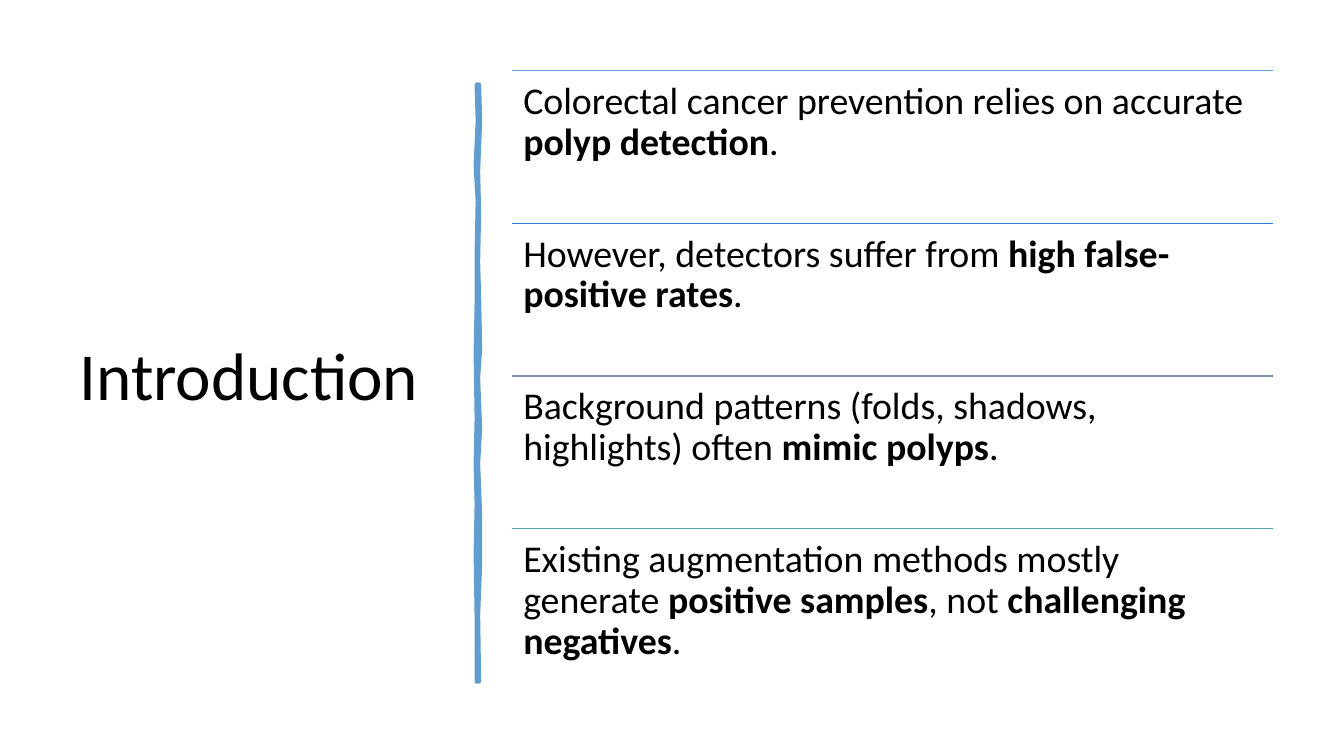
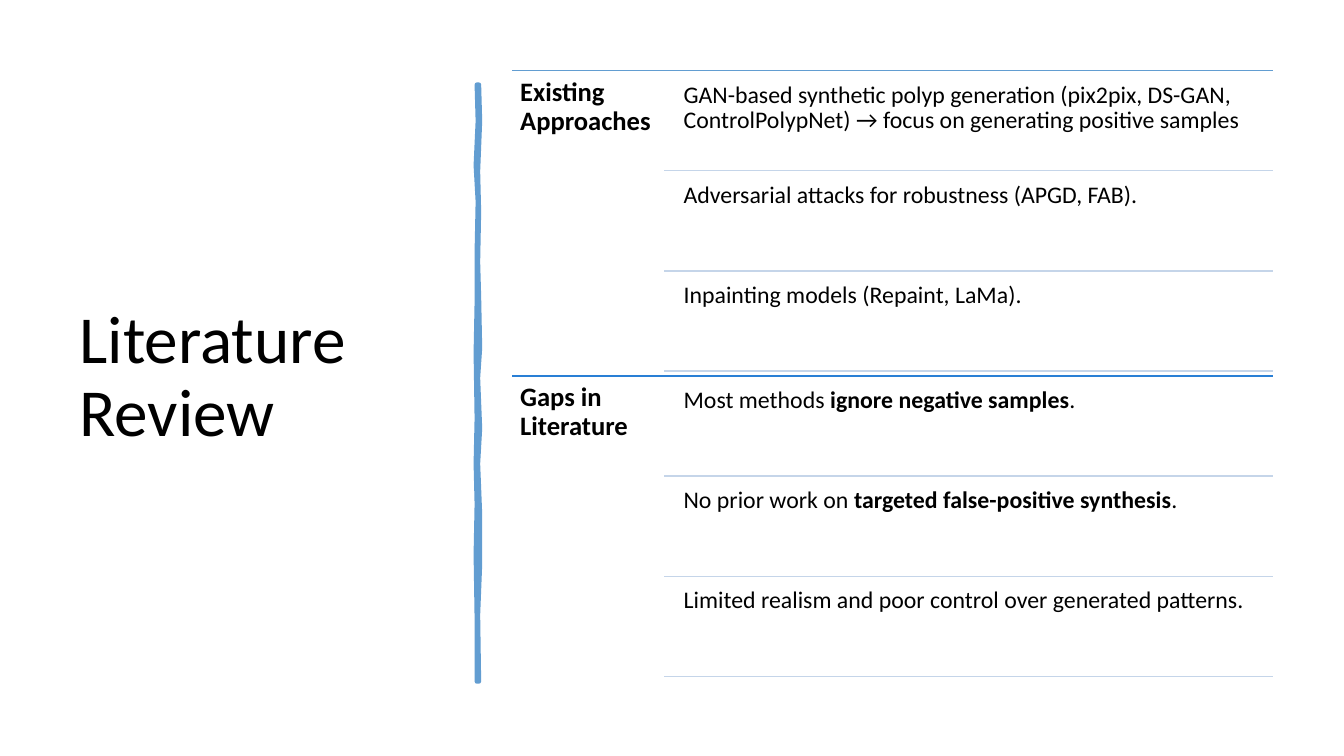
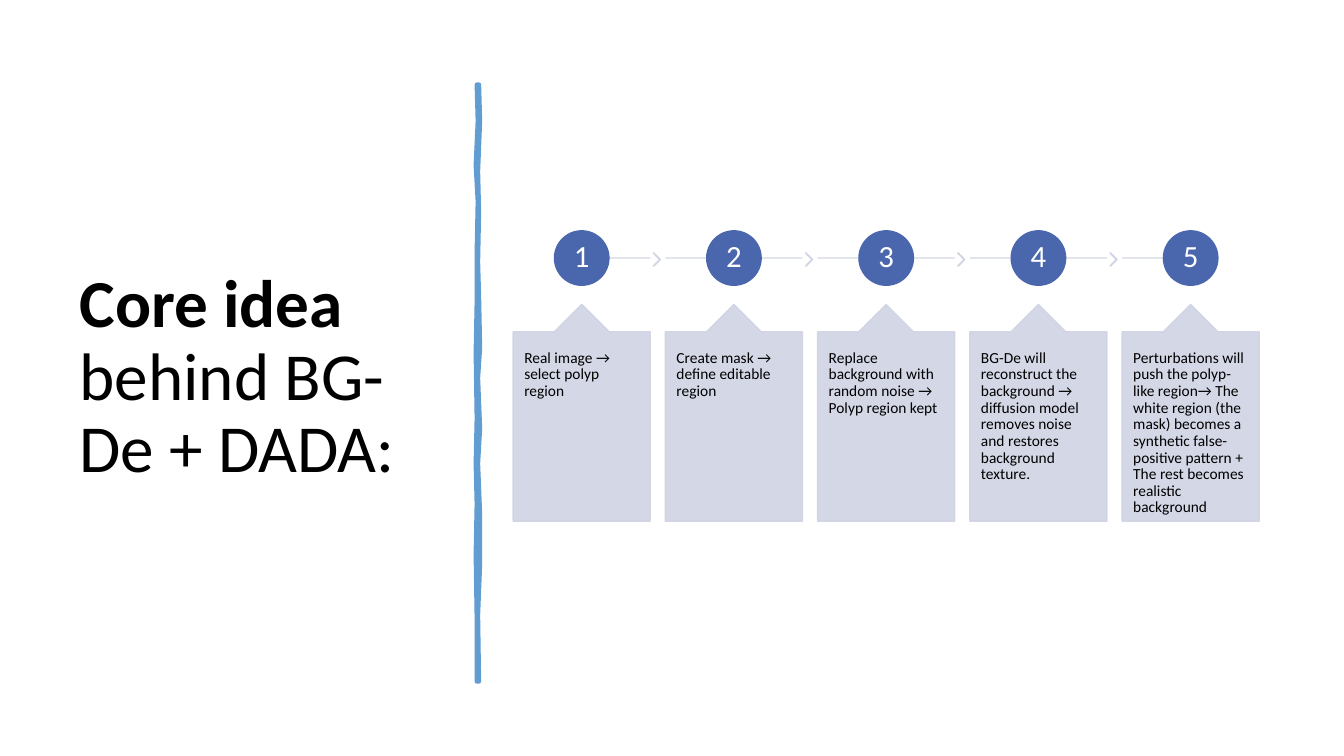
import pptx
import pptx.util
import pptx.dml.color
import pptx.enum.shapes
import pptx.enum.text
import pptx.oxml.ns
from lxml import etree
from dataclasses import dataclass

Inches, Pt = pptx.util.Inches, pptx.util.Pt
SHAPE = pptx.enum.shapes.MSO_SHAPE
ANCHOR = pptx.enum.text.MSO_ANCHOR
ALIGN = pptx.enum.text.PP_ALIGN
qn = pptx.oxml.ns.qn


@dataclass(frozen=True)
class Theme:
    font: str = "Calibri"
    ink: str = "000000"
    paper: str = "FFFFFF"
    stroke: str = "629DD1"
    accents: tuple = ("629DD1", "297FD5", "7F8FA9", "5AA2AE")
    hairline: str = "C5D5E9"
    badge: str = "4A66AC"
    card: str = "D0D3E3"
    card_opacity: int = 90
    title_size: int = 48
    point_size: int = 27
    section_size: int = 19
    item_size: int = 17
    number_size: int = 22
    step_size: int = 11


T = Theme()
SLIDE_W, SLIDE_H = 13.33, 7.5
TITLE_BOX = (0.69, 0.7, 3.74, 6.11)
LEFT, TOP, WIDTH, HEIGHT = 5.08, 0.7, 7.55, 6.06
COLUMN = WIDTH / 5

# Edges of the brush stroke beside the title, as (x, y) from top to bottom.
STROKE_RIGHT = [(4.75, 0.84), (4.76, 1.2), (4.74, 1.7), (4.75, 2.1), (4.74, 2.6),
                (4.75, 2.94), (4.76, 3.45), (4.74, 3.75), (4.76, 4.25), (4.74, 4.6),
                (4.76, 5.1), (4.76, 5.6), (4.74, 6.1), (4.75, 6.76)]
STROKE_LEFT = [(4.73, 0.84), (4.74, 1.2), (4.72, 1.64), (4.74, 2.0), (4.73, 2.5),
               (4.73, 3.0), (4.72, 3.5), (4.73, 4.15), (4.72, 4.6), (4.73, 5.0),
               (4.72, 5.5), (4.73, 6.13), (4.73, 6.76)]

# Double asterisks enclose bold text.
INTRO_TITLE = "Introduction"
INTRO_POINTS = [
    "Colorectal cancer prevention relies on accurate **polyp detection**.",
    "However, detectors suffer from **high false-positive rates**.",
    "Background patterns (folds, shadows, highlights) often **mimic polyps**.",
    "Existing augmentation methods mostly generate **positive samples**, not "
    "**challenging negatives**.",
]
REVIEW_TITLE = "Literature Review"
REVIEW_SECTIONS = [
    ("**Existing Approaches**", [
        "GAN-based synthetic polyp generation (pix2pix, DS-GAN, ControlPolypNet) "
        "→ focus on generating positive samples",
        "Adversarial attacks for robustness (APGD, FAB).",
        "Inpainting models (Repaint, LaMa).",
    ]),
    ("**Gaps in Literature**", [
        "Most methods **ignore negative samples**.",
        "No prior work on **targeted false-positive synthesis**.",
        "Limited realism and poor control over generated patterns.",
    ]),
]
CORE_TITLE = "**Core idea** behind BG-De + DADA:"
CORE_STEPS = [
    "Real image → select polyp region",
    "Create mask → define editable region",
    "Replace background with random noise → Polyp region kept",
    "BG-De will reconstruct the background → diffusion model removes noise "
    "and restores background texture.",
    "Perturbations will push the polyp-like region→ The white region (the mask) "
    "becomes a synthetic false-positive pattern + The rest becomes realistic background",
]


def rgb(color):
    return pptx.dml.color.RGBColor.from_string(color)


def write(sp, text, size, inset, color=T.ink, anchor=ANCHOR.TOP, align=ALIGN.LEFT):
    """Fill a shape with one paragraph; inset is (horizontal, vertical)."""
    tf = sp.text_frame
    tf.word_wrap = True
    tf.vertical_anchor = anchor
    tf.margin_left = tf.margin_right = Inches(inset[0])
    tf.margin_top = tf.margin_bottom = Inches(inset[1])
    p = tf.paragraphs[0]
    p.alignment = align
    p.line_spacing = 0.9
    for i, part in enumerate(text.split("**")):
        if part:
            r = p.add_run()
            r.text = part
            r.font.name = T.font
            r.font.size = Pt(size)
            r.font.bold = i % 2 == 1
            r.font.color.rgb = rgb(color)


def add_text(slide, box, text, size, inset, **style):
    write(slide.shapes.add_textbox(*map(Inches, box)), text, size, inset, **style)


def paint(sp, color, line_width=1):
    sp.shadow.inherit = False
    sp.fill.solid()
    sp.fill.fore_color.rgb = rgb(color)
    sp.line.color.rgb = rgb(color)
    sp.line.width = Pt(line_width)


def soften(sp):
    """Make the fill and line of a shape slightly transparent."""
    for clr in sp._element.spPr.iter(qn("a:srgbClr")):
        etree.SubElement(clr, qn("a:alpha")).set("val", str(T.card_opacity * 1000))


def add_shape(slide, kind, box, color, adjustments=()):
    sp = slide.shapes.add_shape(kind, *map(Inches, box))
    paint(sp, color)
    for i, value in enumerate(adjustments):
        sp.adjustments[i] = value
    return sp


def add_rule(slide, x1, x2, y, color):
    line = slide.shapes.add_connector(
        pptx.enum.shapes.MSO_CONNECTOR.STRAIGHT,
        Inches(x1), Inches(y), Inches(x2), Inches(y))
    line.line.color.rgb = rgb(color)
    line.line.width = Pt(1)
    etree.SubElement(line._element.spPr, qn("a:effectLst"))
    return line


def add_titled_slide(prs, title):
    slide = prs.slides.add_slide(prs.slide_layouts[6])
    add_text(slide, TITLE_BOX, title, T.title_size, (0.1, 0.05), anchor=ANCHOR.MIDDLE)
    outline = [(Inches(x), Inches(y)) for x, y in STROKE_RIGHT + STROKE_LEFT[::-1]]
    builder = slide.shapes.build_freeform(*outline[0])
    builder.add_line_segments(outline[1:], close=True)
    paint(builder.convert_to_shape(), T.stroke, 3.25)
    return slide


def add_intro(prs):
    slide = add_titled_slide(prs, INTRO_TITLE)
    row = HEIGHT / len(INTRO_POINTS)
    for i, (point, color) in enumerate(zip(INTRO_POINTS, T.accents)):
        y = TOP + i * row
        add_rule(slide, LEFT, LEFT + WIDTH, y, color)
        add_text(slide, (LEFT, y, WIDTH, row), point, T.point_size, (0.11, 0.11))


def add_review(prs):
    slide = add_titled_slide(prs, REVIEW_TITLE)
    right = LEFT + WIDTH
    section_h = HEIGHT / len(REVIEW_SECTIONS)
    gap, indent = 0.05, 0.12
    item_x = LEFT + COLUMN
    for i, (heading, items) in enumerate(REVIEW_SECTIONS):
        y = TOP + i * section_h
        add_rule(slide, LEFT, right, y, T.accents[i])
        add_text(slide, (LEFT, y, COLUMN, section_h), heading, T.section_size, (0.08, 0.08))
        pitch = (section_h - gap) / len(items)
        for j, item in enumerate(items):
            item_y = y + gap + j * pitch
            box = (item_x + indent, item_y, right - item_x - indent, pitch - gap)
            add_text(slide, box, item, T.item_size, (0.07, 0.07))
            add_rule(slide, item_x, right, item_y + pitch - gap, T.hairline)


def add_core_idea(prs):
    slide = add_titled_slide(prs, CORE_TITLE)
    card_w, card_h, card_y = 0.9 * COLUMN, 2.15, 3.02
    badge, axis_y = 0.54, 2.56
    last = len(CORE_STEPS) - 1
    for i, step in enumerate(CORE_STEPS):
        x = LEFT + 0.01 + i * COLUMN
        center = x + card_w / 2
        start = center if i == 0 else x
        end = center if i == last else x + card_w
        soften(add_rule(slide, start, end, axis_y, T.card))
        if i < last:
            soften(add_shape(slide, SHAPE.CHEVRON, (x + card_w + 0.03, axis_y - 0.05, 0.07, 0.13),
                             T.card, [0.9]))
        sp = add_shape(slide, SHAPE.OVAL,
                       (center - badge / 2, axis_y - badge / 2, badge, badge), T.badge)
        write(sp, str(i + 1), T.number_size, (0.02, 0.02), color=T.paper,
              anchor=ANCHOR.MIDDLE, align=ALIGN.CENTER)
        sp = add_shape(slide, SHAPE.UP_ARROW_CALLOUT, (x, card_y, card_w, card_h),
                       T.card, [0.5, 0.2, 0.2, 1])
        soften(sp)
        write(sp, step, T.step_size, (0.11, 0.18))


def main():
    prs = pptx.Presentation()
    prs.slide_width, prs.slide_height = Inches(SLIDE_W), Inches(SLIDE_H)
    add_intro(prs)
    add_review(prs)
    add_core_idea(prs)
    prs.save("out.pptx")


if __name__ == "__main__":
    main()
